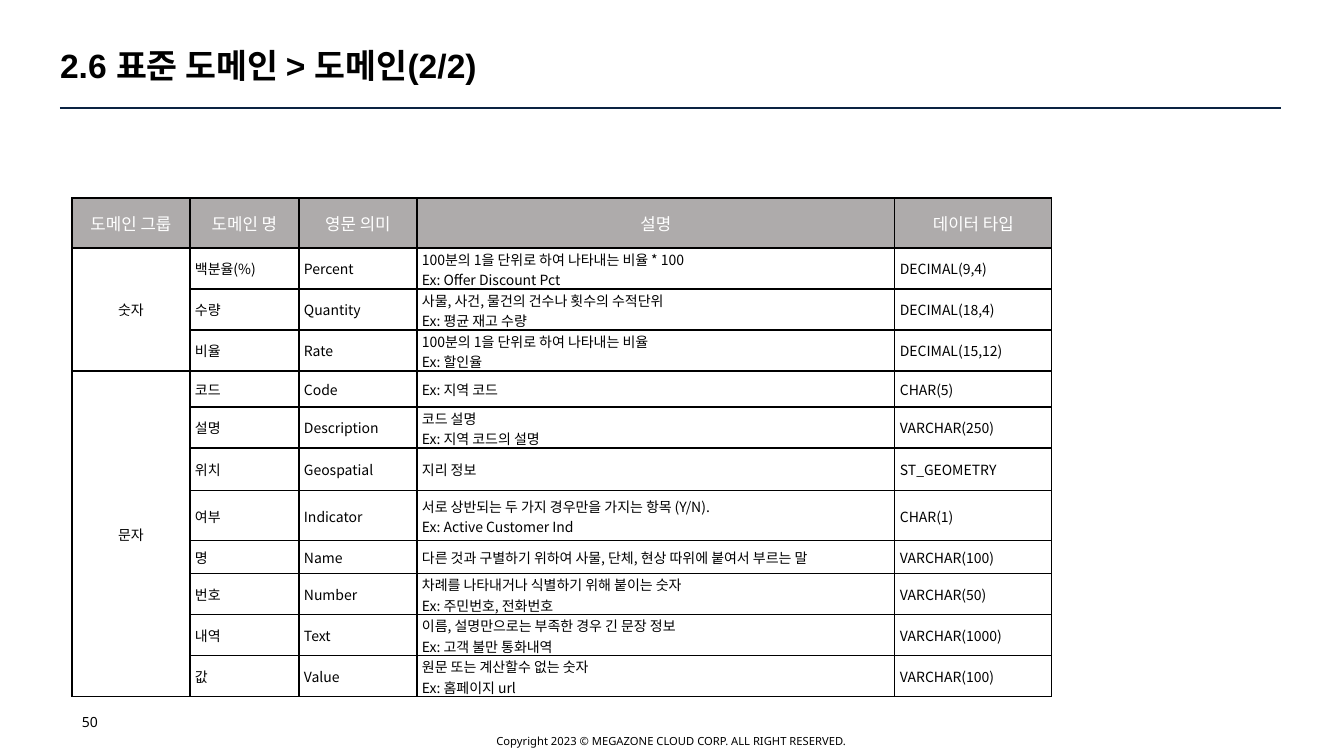
from lxml.etree import SubElement
from pptx import Presentation
from pptx.dml.color import RGBColor
from pptx.enum.shapes import MSO_CONNECTOR
from pptx.enum.text import MSO_ANCHOR, MSO_AUTO_SIZE, PP_ALIGN
from pptx.oxml.ns import qn
from pptx.util import Pt

EMU_PER_PX = 914400 / 100.8
BLACK, WHITE, NAVY, GRAY = "000000", "FFFFFF", "0A2342", "AEABAB"
KOREAN_FONT = "Noto Sans CJK KR"
COLUMN_WIDTHS = [118, 109, 118, 478, 157]
HEADINGS = ["도메인 그룹", "도메인 명", "영문 의미", "설명", "데이터 타입"]
HEADING_HEIGHT = 50

# Each domain: row height, name, English meaning, description, data type
DOMAIN_GROUPS = {
    "숫자": [
        (41, "백분율(%)", "Percent",
         "100분의 1을 단위로 하여 나타내는 비율 * 100\nEx: Offer Discount Pct", "DECIMAL(9,4)"),
        (41, "수량", "Quantity",
         "사물, 사건, 물건의 건수나 횟수의 수적단위\nEx: 평균 재고 수량", "DECIMAL(18,4)"),
        (41, "비율", "Rate",
         "100분의 1을 단위로 하여 나타내는 비율\nEx: 할인율", "DECIMAL(15,12)"),
    ],
    "문자": [
        (36, "코드", "Code", "Ex: 지역 코드", "CHAR(5)"),
        (41, "설명", "Description", "코드 설명\nEx: 지역 코드의 설명", "VARCHAR(250)"),
        (43, "위치", "Geospatial", "지리 정보", "ST_GEOMETRY"),
        (50, "여부", "Indicator",
         "서로 상반되는 두 가지 경우만을 가지는 항목 (Y/N).\nEx: Active Customer Ind", "CHAR(1)"),
        (33, "명", "Name",
         "다른 것과 구별하기 위하여 사물, 단체, 현상 따위에 붙여서 부르는 말", "VARCHAR(100)"),
        (41, "번호", "Number",
         "차례를 나타내거나 식별하기 위해 붙이는 숫자\nEx: 주민번호, 전화번호", "VARCHAR(50)"),
        (41, "내역", "Text",
         "이름, 설명만으로는 부족한 경우 긴 문장 정보\nEx: 고객 불만 통화내역", "VARCHAR(1000)"),
        (41, "값", "Value", "원문 또는 계산할수 없는 숫자\nEx: 홈페이지 url", "VARCHAR(100)"),
    ],
}


def px(length):
    return round(length * EMU_PER_PX)


def color(hex_string):
    return RGBColor.from_string(hex_string)


def write(para, text, size, font_name, text_color=BLACK, bold=False, align=PP_ALIGN.LEFT):
    para.text = text
    para.alignment = align
    font = para.font
    font.size, font.name, font.bold = Pt(size), font_name, bold
    font.color.rgb = color(text_color)
    properties = para._p.pPr.find(qn("a:defRPr"))
    SubElement(properties, qn("a:ea"), typeface=KOREAN_FONT)


def set_title(page, text):
    title = page.shapes.title
    title.left, title.top, title.width, title.height = map(px, (60, 48, 1221, 40))
    frame = title.text_frame
    frame.margin_left = frame.margin_right = frame.margin_top = frame.margin_bottom = 0
    frame.vertical_anchor = MSO_ANCHOR.MIDDLE
    frame.auto_size = MSO_AUTO_SIZE.NONE
    para = frame.paragraphs[0]
    write(para, text, 24, "Arial", bold=True)
    para.line_spacing = 0.9


def add_title_rule(page):
    rule = page.shapes.add_connector(
        MSO_CONNECTOR.STRAIGHT, px(60), px(108), px(1281), px(108))
    rule.line.color.rgb = color(NAVY)
    rule.line.width = Pt(1.5)
    SubElement(rule._element.spPr, qn("a:effectLst"))


def add_footer_text(page, text, bounds, size, align, anchor, spacing):
    box = page.shapes.add_textbox(*map(px, bounds))
    frame = box.text_frame
    frame.word_wrap = True
    frame.vertical_anchor = anchor
    para = frame.paragraphs[0]
    write(para, text, size, "Noto Sans", align=align)
    para.line_spacing = spacing


def format_cell(cell, fill_color=None):
    """Set borders, margins and fill; borders must come before the fill in the XML."""
    properties = cell._tc.get_or_add_tcPr()
    for side in ("lnL", "lnR", "lnT", "lnB"):
        border = SubElement(properties, qn(f"a:{side}"), w=str(Pt(1)))
        fill = SubElement(border, qn("a:solidFill"))
        SubElement(fill, qn("a:srgbClr"), val=BLACK)
    if fill_color:
        cell.fill.solid()
        cell.fill.fore_color.rgb = color(fill_color)
    else:
        cell.fill.background()
    cell.margin_left = cell.margin_right = cell.margin_top = px(1)
    cell.margin_bottom = 0
    cell.vertical_anchor = MSO_ANCHOR.MIDDLE


def fill_heading(cell, text):
    format_cell(cell, GRAY)
    write(cell.text_frame.paragraphs[0], text, 12, KOREAN_FONT, WHITE, align=PP_ALIGN.CENTER)


def fill_detail(cell, text):
    format_cell(cell)
    para = cell.text_frame.paragraphs[0]
    write(para, text, 10, KOREAN_FONT)
    para._p.pPr.set("marL", str(px(4)))


def fill_group(table, first_row, name, domains):
    last_row = first_row + len(domains) - 1
    for row, (height, *details) in enumerate(domains, first_row):
        table.rows[row].height = px(height)
        format_cell(table.cell(row, 0))
        for column, text in enumerate(details, 1):
            fill_detail(table.cell(row, column), text)
    group_cell = table.cell(first_row, 0)
    group_cell.merge(table.cell(last_row, 0))
    write(group_cell.text_frame.paragraphs[0], name, 10, KOREAN_FONT, align=PP_ALIGN.CENTER)
    return last_row + 1


def add_domain_table(page):
    heights = [HEADING_HEIGHT] + [row[0] for rows in DOMAIN_GROUPS.values() for row in rows]
    table = page.shapes.add_table(
        len(heights), len(HEADINGS), px(72), px(198),
        px(sum(COLUMN_WIDTHS)), px(sum(heights))).table
    table.first_row = table.horz_banding = False
    table.rows[0].height = px(HEADING_HEIGHT)
    for column, (width, heading) in enumerate(zip(COLUMN_WIDTHS, HEADINGS)):
        table.columns[column].width = px(width)
        fill_heading(table.cell(0, column), heading)
    next_row = 1
    for name, domains in DOMAIN_GROUPS.items():
        next_row = fill_group(table, next_row, name, domains)


def main():
    deck = Presentation()
    deck.slide_width, deck.slide_height = px(1344), px(756)
    page = deck.slides.add_slide(deck.slide_layouts[5])
    set_title(page, "2.6 표준 도메인 > 도메인(2/2)")
    add_title_rule(page)
    add_footer_text(page, "Copyright 2023 © MEGAZONE CLOUD CORP. ALL RIGHT RESERVED.",
                    (435, 719, 473, 30), 8, PP_ALIGN.CENTER, MSO_ANCHOR.MIDDLE, 2.0)
    add_footer_text(page, "50", (72, 709, 372, 40), 10, PP_ALIGN.LEFT, MSO_ANCHOR.TOP, 1.0)
    add_domain_table(page)
    deck.save("out.pptx")


if __name__ == "__main__":
    main()
